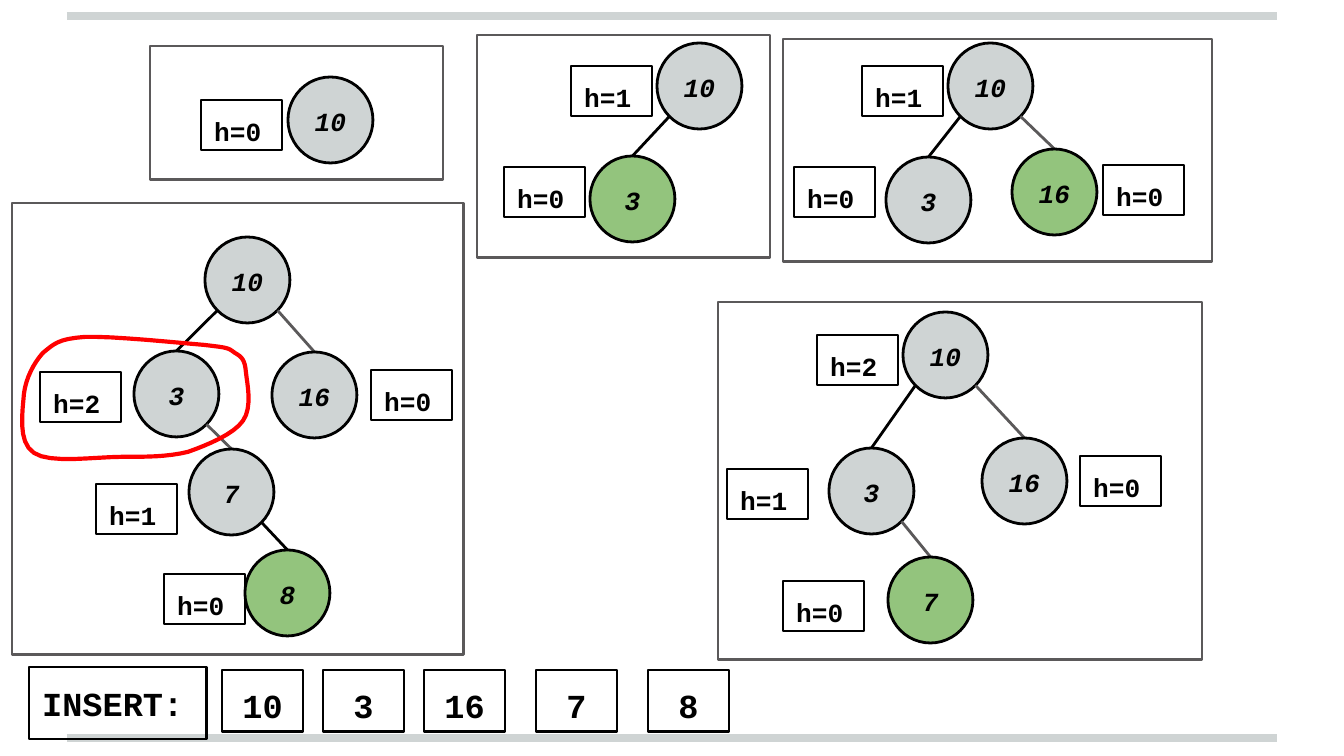
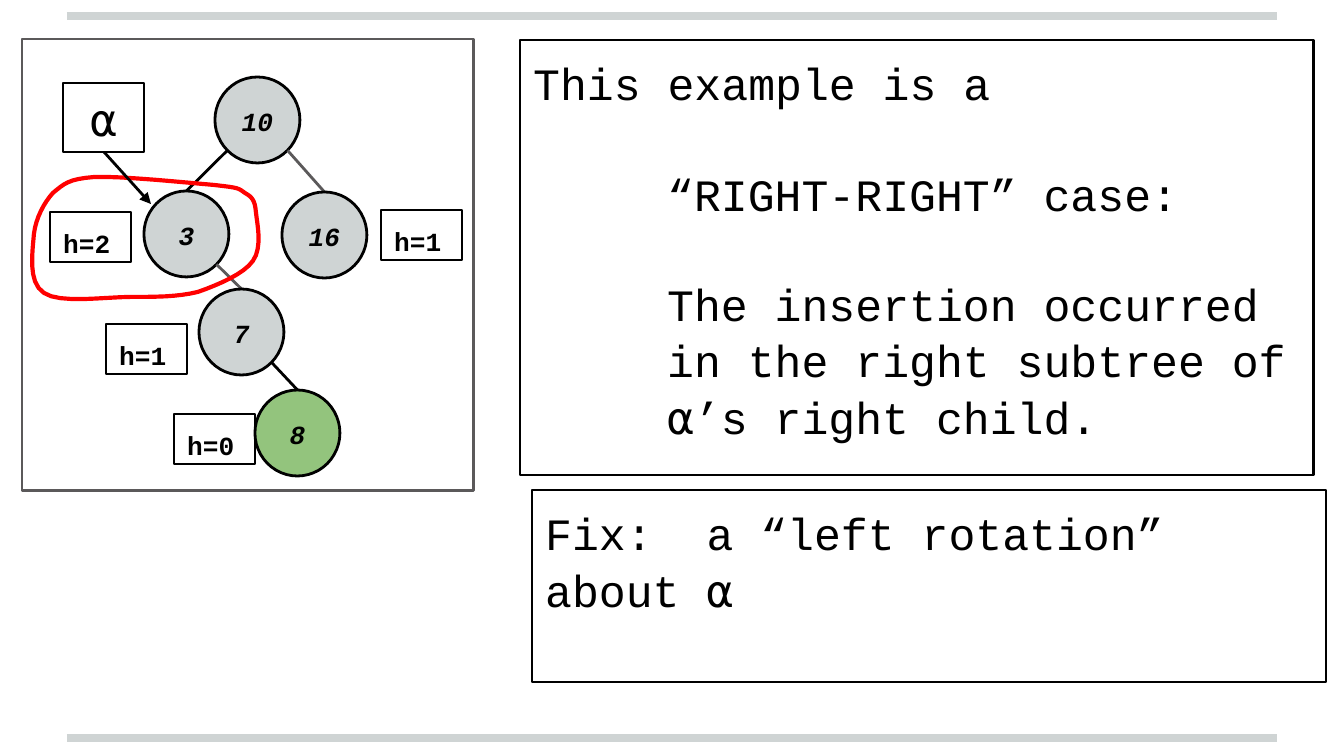
"""Build two slides that trace insertions into a balanced search tree."""
from dataclasses import dataclass

from lxml.etree import SubElement
from pptx import Presentation
from pptx.dml.color import RGBColor as Rgb
from pptx.enum.shapes import MSO_CONNECTOR as Link, MSO_SHAPE as Kind
from pptx.enum.text import MSO_ANCHOR as Anchor, PP_ALIGN as Align
from pptx.oxml.ns import qn
from pptx.util import Emu, Pt

SCALE = 914400 / 134.4
WIDE, HIGH = 1344, 756
NODE_W, NODE_H = 85, 86
TAG_W, TAG_H = 81, 50
STEPS = 8


@dataclass(frozen=True)
class Theme:
    ink: str = "000000"
    gray: str = "5B595A"
    pale: str = "CFD4D4"
    green: str = "93C47D"
    red: str = "FF0000"
    font: str = "Courier New"
    small: int = 14
    mid: int = 18
    large: int = 24
    thin: float = 1.5
    bold: float = 2.25
    band: float = 4
    inset: float = 13.44
    pitch: float = 1.05
    lead: float = 0.11


LOOK = Theme()


@dataclass(frozen=True)
class Box:
    x: float
    y: float
    w: float
    h: float

    def move(self, dx: float, dy: float) -> "Box":
        return Box(self.x + dx, self.y + dy, self.w, self.h)


@dataclass(frozen=True)
class Node:
    key: int
    x: int
    y: int
    tag: str = ""
    tag_x: int = 0
    tag_y: int = 0
    up: int = -1
    edge: str = LOOK.ink
    fill: str = LOOK.pale

    def box(self) -> Box:
        return Box(self.x, self.y, NODE_W, NODE_H)


@dataclass(frozen=True)
class Para:
    text: str
    indent: int = 0
    gap: float = 0


def px(size: float) -> Emu:
    return Emu(round(size * SCALE))


def style(shape, line: str, width: float, fill: str = "") -> None:
    shape.shadow.inherit = False
    shape.line.color.rgb = Rgb.from_string(line)
    shape.line.width = Pt(width)
    if fill:
        shape.fill.solid()
        shape.fill.fore_color.rgb = Rgb.from_string(fill)
    else:
        shape.fill.background()


def write(shape, paras: list[Para], size: int, align=Align.LEFT,
          anchor=Anchor.TOP, bold: bool = True, italic: bool = False) -> None:
    frame = shape.text_frame
    sides = {f"margin_{side}": px(LOOK.inset)
             for side in ("left", "top", "right", "bottom")}
    for name, value in {**sides, "word_wrap": True,
                        "vertical_anchor": anchor}.items():
        setattr(frame, name, value)
    for i, item in enumerate(paras):
        para = frame.add_paragraph() if i else frame.paragraphs[0]
        space = {"alignment": align, "line_spacing": LOOK.pitch,
                 "space_before": Pt(item.gap or size * LOOK.lead),
                 "space_after": Pt(0)}
        for name, value in space.items():
            setattr(para, name, value)
        if item.indent:
            props = para._p.get_or_add_pPr()
            props.set("marL", str(px(item.indent)))
            props.set("indent", "0")
        run = para.add_run()
        run.text = item.text
        face = {"name": LOOK.font, "size": Pt(size),
                "bold": bold, "italic": italic}
        for name, value in face.items():
            setattr(run.font, name, value)
        run.font.color.rgb = Rgb.from_string(LOOK.ink)


def draw(slide, box: Box, kind=Kind.RECTANGLE, line: str = LOOK.ink,
         fill: str = ""):
    shape = slide.shapes.add_shape(kind, px(box.x), px(box.y),
                                   px(box.w), px(box.h))
    style(shape, line, LOOK.thin, fill)
    return shape


def join(slide, start: tuple, end: tuple, color: str = LOOK.ink,
         width: float = LOOK.thin, arrow: bool = False) -> None:
    link = slide.shapes.add_connector(Link.STRAIGHT, px(start[0]), px(start[1]),
                                      px(end[0]), px(end[1]))
    link.line.color.rgb = Rgb.from_string(color)
    link.line.width = Pt(width)
    if arrow:
        SubElement(link.line._get_or_add_ln(), qn("a:tailEnd"), type="triangle")
    SubElement(link._element.spPr, qn("a:effectLst"))


def label(slide, box: Box, text: str, size: int, **form) -> None:
    write(draw(slide, box), [Para(text)], size, **form)


def grow(slide, nodes: list[Node], dx: int = 0, dy: int = 0) -> None:
    for node in nodes:
        box = node.box().move(dx, dy)
        if node.up >= 0:
            top = nodes[node.up].box().move(dx, dy)
            part = 0.146 if box.x < top.x else 0.854
            join(slide, (top.x + part * top.w, top.y + 0.854 * top.h),
                 (box.x + box.w / 2, box.y), node.edge)
        disc = draw(slide, box, Kind.OVAL, fill=node.fill)
        write(disc, [Para(str(node.key))], LOOK.small, Align.CENTER,
              Anchor.MIDDLE, italic=True)
        if node.tag:
            spot = Box(node.tag_x, node.tag_y, TAG_W, TAG_H)
            label(slide, spot.move(dx, dy), node.tag, LOOK.small)


def bend(a: tuple, b: tuple, c: tuple, d: tuple) -> list[tuple]:
    spots = []
    for i in range(1, STEPS + 1):
        t = i / STEPS
        u = 1 - t
        spots.append(tuple(u**3 * p + 3 * u * u * t * q + 3 * u * t * t * r
                           + t**3 * s for p, q, r, s in zip(a, b, c, d)))
    return spots


def lasso(slide, dx: int = 0, dy: int = 0) -> None:
    spots = [LOOP[0]]
    for i in range(0, len(LOOP) - 1, 3):
        spots += bend(*LOOP[i:i + 4])
    spots = [(px(x + dx), px(y + dy)) for x, y in spots]
    pen = slide.shapes.build_freeform(*spots[0])
    pen.add_line_segments(spots[1:], close=True)
    style(pen.convert_to_shape(), LOOK.red, LOOK.bold)


def start(deck):
    slide = deck.slides.add_slide(deck.slide_layouts[6])
    for y in (738, 16):
        join(slide, (67, y), (1277, y), LOOK.pale, LOOK.band)
    return slide


LOOP = [(235, 353), (228, 348), (230, 348), (204, 345),
        (180, 343), (112, 336), (85, 337), (58, 339), (54, 344), (43, 353),
        (34, 363), (26, 378), (24, 394), (23, 410), (17, 442), (34, 453),
        (50, 464), (95, 457), (121, 457), (146, 457), (168, 457), (188, 452),
        (208, 445), (234, 434), (243, 421), (253, 407), (247, 383), (246, 372),
        (245, 360), (242, 357), (235, 353)]


def last(side: str) -> list[Node]:
    return [Node(10, 205, 237),
            Node(3, 134, 351, "h=2", 40, 372, 0),
            Node(16, 272, 352, side, 371, 370, 0, LOOK.gray),
            Node(7, 189, 449, "h=1", 96, 484, 1, LOOK.gray),
            Node(8, 245, 550, "h=0", 164, 574, 3, fill=LOOK.green)]


TREES = [
    (Box(150, 46, 293, 134), [Node(10, 288, 77, "h=0", 201, 100)]),
    (Box(477, 35, 293, 223), [
        Node(10, 657, 43, "h=1", 571, 66),
        Node(3, 590, 156, "h=0", 504, 167, 0, fill=LOOK.green)]),
    (Box(783, 39, 429, 223), [
        Node(10, 948, 43, "h=1", 862, 66),
        Node(3, 886, 157, "h=0", 794, 167, 0),
        Node(16, 1012, 149, "h=0", 1103, 165, 0, LOOK.gray, LOOK.green)]),
    (Box(718, 302, 484, 358), [
        Node(10, 903, 312, "h=2", 817, 335),
        Node(3, 829, 448, "h=1", 727, 469, 0),
        Node(16, 982, 438, "h=0", 1080, 456, 0, LOOK.gray),
        Node(7, 888, 557, "h=0", 783, 581, 1, LOOK.gray, LOOK.green)]),
    (Box(12, 203, 452, 452), last("h=0")),
]
QUEUE = {10: 222, 3: 323, 16: 424, 7: 536, 8: 648}


def insert(deck) -> None:
    slide = start(deck)
    for frame, nodes in TREES:
        draw(slide, frame, line=LOOK.gray)
        grow(slide, nodes)
    lasso(slide)
    label(slide, Box(29, 667, 178, 72), "INSERT:", LOOK.mid)
    for key, x in QUEUE.items():
        label(slide, Box(x, 670, TAG_W, 62), str(key), LOOK.mid,
              align=Align.CENTER)


def explain(deck) -> None:
    slide = start(deck)
    draw(slide, Box(22, 39, 452, 452), line=LOOK.gray)
    grow(slide, last("h=1"), 10, -160)
    lasso(slide, 10, -160)
    label(slide, Box(63, 83, TAG_W, 69), "⍺", LOOK.large, align=Align.CENTER,
          anchor=Anchor.MIDDLE, bold=False)
    join(slide, (104, 152), (151, 204), arrow=True)
    case = [Para("This example is a"),
            Para("“RIGHT-RIGHT” case:", 134, 28.8),
            Para("The insertion occurred in the right subtree of "
                 "⍺’s right child.", 134, 28.8)]
    write(draw(slide, Box(520, 40, 794, 435)), case, LOOK.large, bold=False)
    label(slide, Box(532, 490, 794, 192), "Fix:  a “left rotation” about ⍺",
          LOOK.large, bold=False)


def main() -> None:
    deck = Presentation()
    for name, value in {"slide_width": WIDE, "slide_height": HIGH}.items():
        setattr(deck, name, px(value))
    insert(deck)
    explain(deck)
    deck.save("out.pptx")


main()
